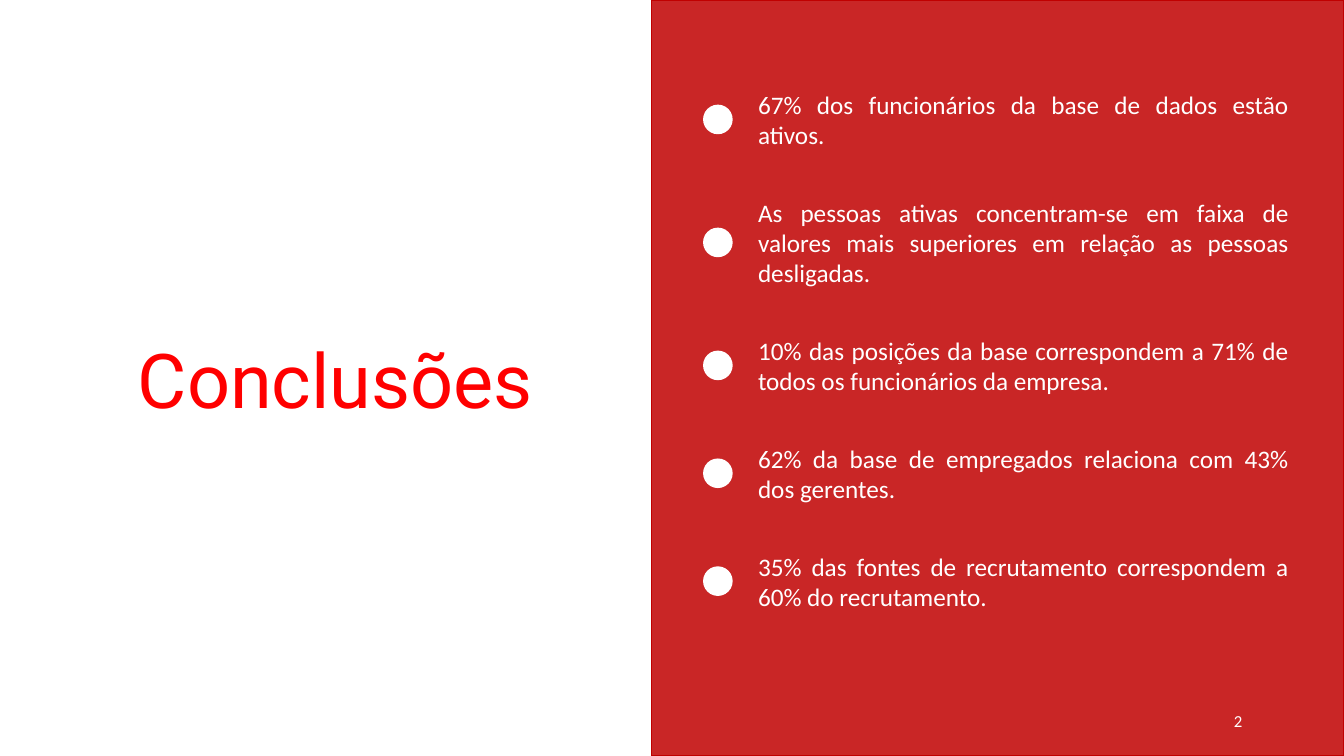
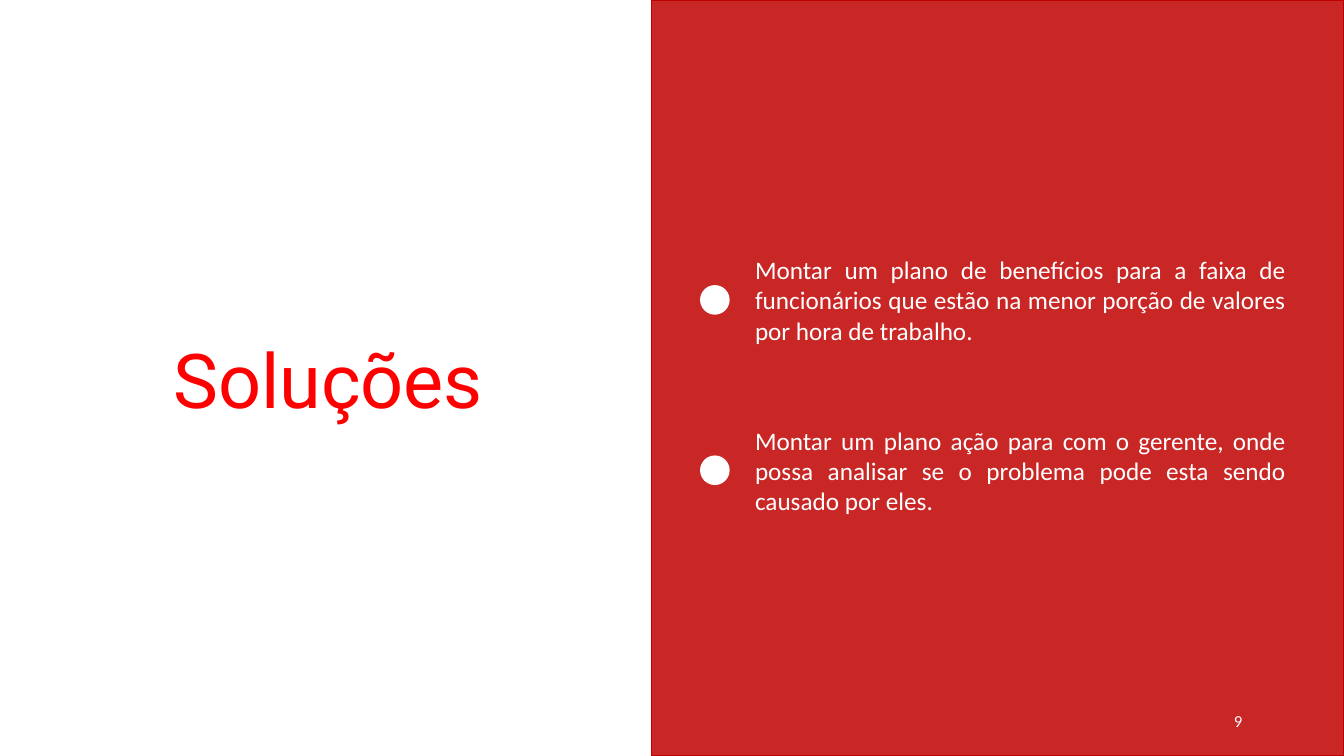
"""Build the conclusions and solutions slides, each a title beside a red panel of points."""
from lxml import etree
from pptx import Presentation
from pptx.dml.color import RGBColor
from pptx.enum import shapes, text
from pptx.oxml.ns import qn
from pptx.util import Inches, Pt

SLIDES = [
    {
        "title": "Conclusões", "title_left": 1.27, "title_width": 4.22,
        "page": "2", "dot_left": 6.98, "top": 0.83, "gap": 0.36,
        "points": [
            (2, "67% dos funcionários da base de dados estão ativos."),
            (3, "As pessoas ativas concentram-se em faixa de valores mais "
                "superiores em relação as pessoas desligadas."),
            (2, "10% das posições da base correspondem a 71% de todos os "
                "funcionários da empresa."),
            (2, "62% da base de empregados relaciona com 43% dos gerentes."),
            (2, "35% das fontes de recrutamento correspondem a 60% do "
                "recrutamento."),
        ],
    },
    {
        "title": "Soluções", "title_left": 1.62, "title_width": 3.81,
        "page": "9", "dot_left": 6.95, "top": 2.47, "gap": 0.68,
        "points": [
            (3, "Montar um plano de benefícios para a faixa de funcionários "
                "que estão na menor porção de valores por hora de trabalho."),
            (3, "Montar um plano ação para com o gerente, onde possa analisar "
                "se o problema pode esta sendo causado por eles."),
        ],
    },
]

WHITE = RGBColor(0xFF, 0xFF, 0xFF)
PANEL_RED = RGBColor(0xC0, 0x00, 0x00)
TITLE_RED = RGBColor(0xFF, 0x00, 0x00)

SLIDE_W, SLIDE_H = 13.33, 7.5
PANEL_LEFT = 6.46
DOT = 0.28
TEXT_OFFSET, TEXT_W = 0.44, 5.46
LINE_H, PADDING = 0.3, 0.11

TITLE_FONT = {"name": "Roboto", "size": Pt(54), "color": TITLE_RED}
POINT_FONT = {"name": "Calibri", "size": Pt(18), "color": WHITE}
PAGE_FONT = {"name": "Calibri", "size": Pt(12), "color": WHITE}


def add_filled(parent, kind, box, color, opacity=100):
    filled = parent.add_shape(kind, *map(Inches, box))
    filled.shadow.inherit = False
    filled.fill.solid()
    filled.fill.fore_color.rgb = color
    filled.line.color.rgb = color
    filled.line.width = Pt(1)
    if opacity < 100:
        tint = filled.fill._xPr.find(qn("a:solidFill"))[0]
        etree.SubElement(tint, qn("a:alpha"), val=str(opacity * 1000))


def add_words(parent, words, box, font, align=text.PP_ALIGN.LEFT,
              anchor=text.MSO_ANCHOR.MIDDLE, fit=text.MSO_AUTO_SIZE.SHAPE_TO_FIT_TEXT):
    frame = parent.add_textbox(*map(Inches, box)).text_frame
    frame_format = {"word_wrap": True, "vertical_anchor": anchor, "auto_size": fit}
    for key, value in frame_format.items():
        setattr(frame, key, value)
    paragraph = frame.paragraphs[0]
    paragraph.alignment = align
    run = paragraph.add_run()
    run.text = words
    for key, value in font.items():
        if key == "color":
            run.font.color.rgb = value
        else:
            setattr(run.font, key, value)


def add_points(slide, content):
    left, top = content["dot_left"], content["top"]
    for lines, words in content["points"]:
        height = LINE_H * lines + PADDING
        point = slide.shapes.add_group_shape().shapes
        add_filled(point, shapes.MSO_SHAPE.OVAL,
                   (left, top + (height - DOT) / 2, DOT, DOT), WHITE)
        add_words(point, words, (left + TEXT_OFFSET, top, TEXT_W, height),
                  POINT_FONT, text.PP_ALIGN.JUSTIFY)
        top += height + content["gap"]


def add_slide(deck, content):
    slide = deck.slides.add_slide(deck.slide_layouts[6])
    add_filled(slide.shapes, shapes.MSO_SHAPE.RECTANGLE,
               (PANEL_LEFT, 0, SLIDE_W - PANEL_LEFT, SLIDE_H), PANEL_RED, opacity=85)
    add_words(slide.shapes, content["title"],
              (content["title_left"], 3.25, content["title_width"], 1.01),
              TITLE_FONT, anchor=text.MSO_ANCHOR.TOP)
    add_points(slide, content)
    add_words(slide.shapes, content["page"], (9.42, 6.95, 3, 0.4), PAGE_FONT,
              text.PP_ALIGN.RIGHT, fit=text.MSO_AUTO_SIZE.NONE)


def main():
    deck = Presentation()
    deck.slide_width, deck.slide_height = Inches(SLIDE_W), Inches(SLIDE_H)
    for content in SLIDES:
        add_slide(deck, content)
    deck.save("out.pptx")


if __name__ == "__main__":
    main()
